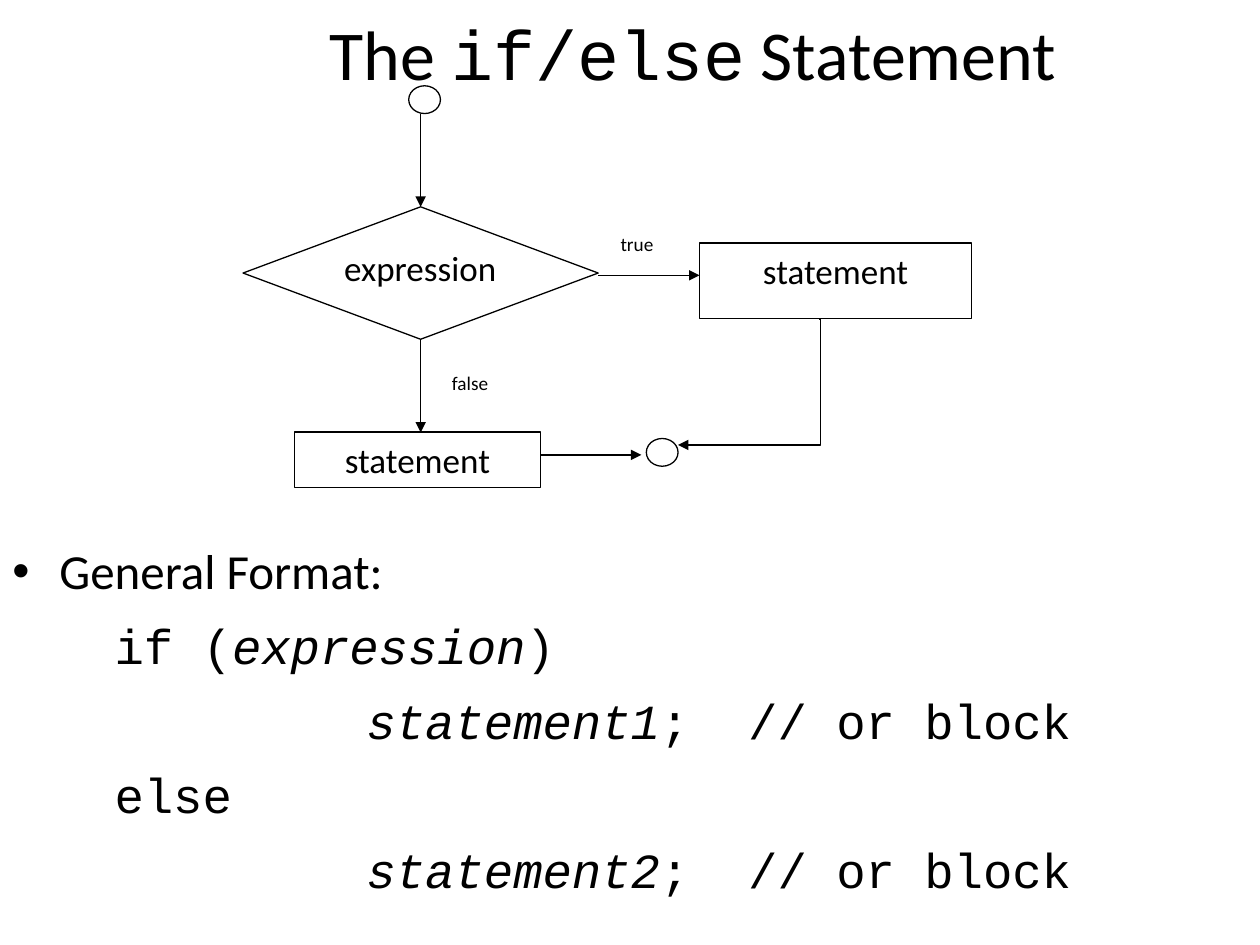
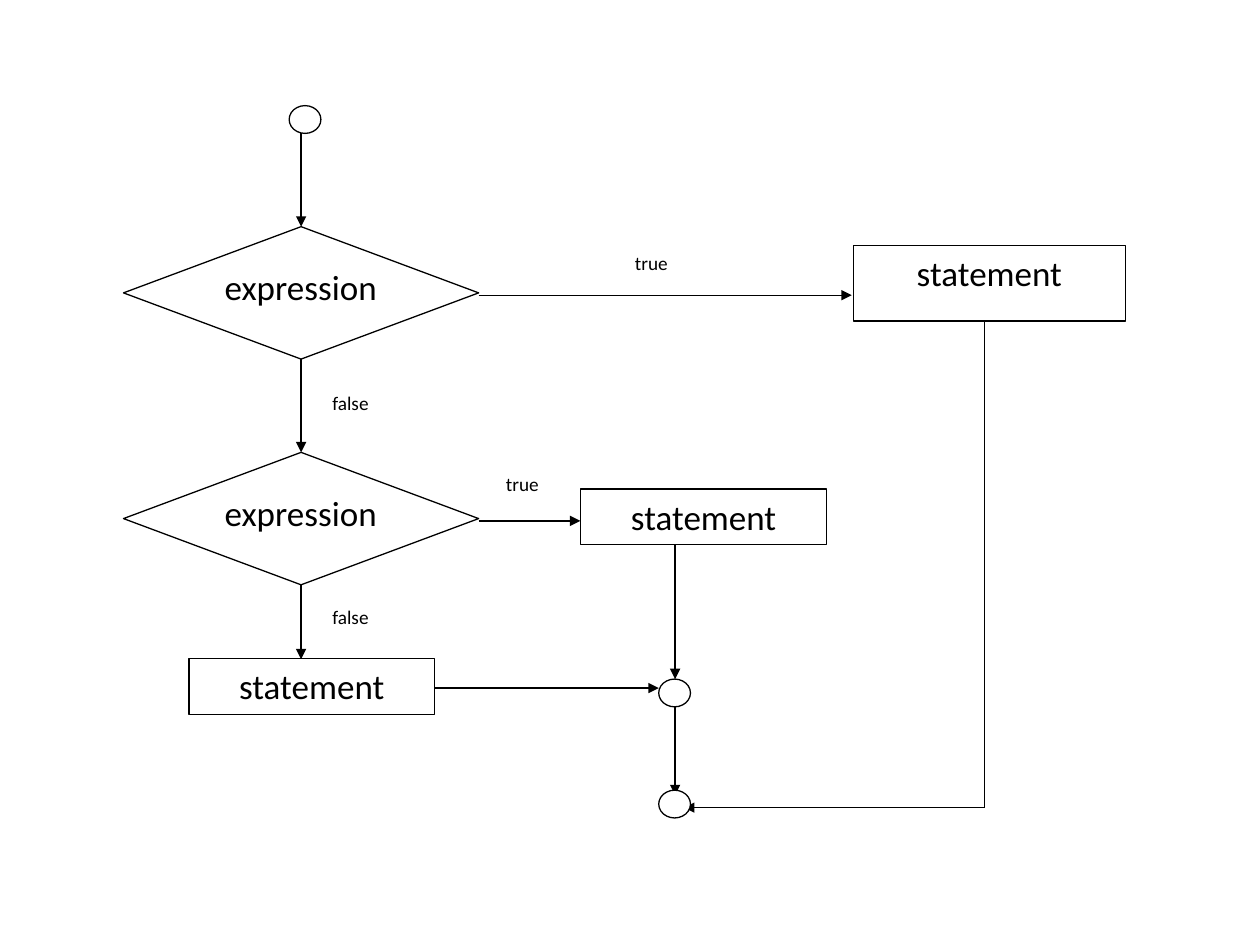
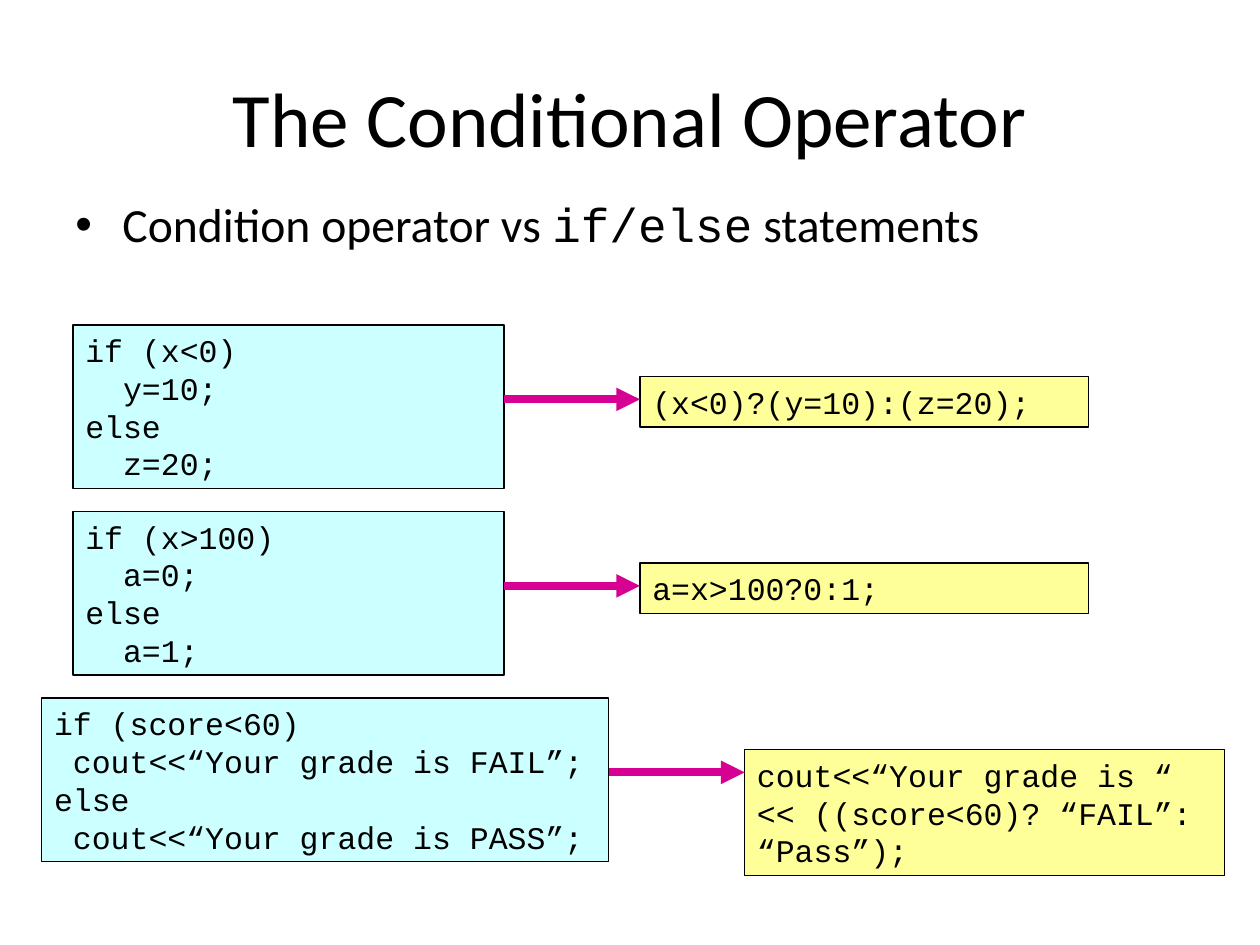
from lxml.etree import SubElement
from pptx import Presentation
from pptx.dml.color import RGBColor
from pptx.enum.shapes import MSO_CONNECTOR, MSO_SHAPE
from pptx.enum.text import MSO_ANCHOR, MSO_AUTO_SIZE, PP_ALIGN
from pptx.oxml.ns import qn
from pptx.util import Cm, Pt

BLACK = RGBColor(0x00, 0x00, 0x00)
WHITE = RGBColor(0xFF, 0xFF, 0xFF)
CYAN = RGBColor(0xCC, 0xFF, 0xFF)
YELLOW = RGBColor(0xFF, 0xFF, 0x99)
MAGENTA = RGBColor(0xD6, 0x00, 0x93)

BODY_FONT = "Calibri"
CODE_FONT = "Courier New"
TITLE_ONLY, BLANK = 5, 6

DIAMOND_WIDTH, DIAMOND_HEIGHT = 7.16, 2.67
DIAMOND_MIDDLE = 3.58
CIRCLE_WIDTH, CIRCLE_HEIGHT = 0.64, 0.56
ENTRY_HEIGHT = 2.44
LARGE_BOX = (5.49, 1.52)
SMALL_BOX = (4.95, 1.12)

CODE_HEIGHT, CODE_PITCH = 3.3, 3.76
RESULT_GAP, RESULT_DROP = 2.74, 1.04


def write(frame, *runs, size, font=BODY_FONT, align=PP_ALIGN.LEFT,
          indent=0, bullet=None, space_before=0):
    paragraph = frame.add_paragraph() if frame.text else frame.paragraphs[0]
    paragraph.alignment = align
    paragraph.space_before = Pt(space_before)
    if indent:
        properties = paragraph._p.get_or_add_pPr()
        properties.set("marL", str(Cm(indent)))
        if bullet:
            properties.set("indent", str(-Cm(indent)))
            SubElement(properties, qn("a:buFont")).set("typeface", "Arial")
            SubElement(properties, qn("a:buChar")).set("char", bullet)
    for item in runs:
        text, changes = (item, {}) if isinstance(item, str) else item
        run = paragraph.add_run()
        run.text = text
        run.font.name = changes.get("font", font)
        run.font.size = Pt(size)
        run.font.italic = changes.get("italic", False)
        run.font.color.rgb = BLACK


def add_title(slide, left, top, width, height, *runs, size):
    title = slide.shapes.title
    title.left, title.top, title.width, title.height = map(Cm, (left, top, width, height))
    title.text_frame.auto_size = MSO_AUTO_SIZE.NONE
    title.text_frame.vertical_anchor = MSO_ANCHOR.MIDDLE
    write(title.text_frame, *runs, size=size, align=PP_ALIGN.CENTER)


def add_text_box(slide, left, top, width, height):
    frame = slide.shapes.add_textbox(*map(Cm, (left, top, width, height))).text_frame
    frame.word_wrap = True
    return frame


def add_box(slide, kind, left, top, width, height, fill=WHITE):
    shape = slide.shapes.add_shape(kind, *map(Cm, (left, top, width, height)))
    shape.shadow.inherit = False
    shape.fill.solid()
    shape.fill.fore_color.rgb = fill
    shape.line.color.rgb = BLACK
    shape.line.width = Pt(0.75)
    shape.text_frame.word_wrap = True
    shape.text_frame.vertical_anchor = MSO_ANCHOR.TOP
    return shape.text_frame


def add_line(slide, start, end, color=BLACK, width=0.75, arrow=True, bend=None):
    kind = MSO_CONNECTOR.STRAIGHT if bend is None else MSO_CONNECTOR.ELBOW
    connector = slide.shapes.add_connector(kind, *map(Cm, start + end))
    connector.line.color.rgb = color
    connector.line.width = Pt(width)
    if arrow:
        SubElement(connector.line._get_or_add_ln(), qn("a:tailEnd")).set("type", "triangle")
    properties = connector._element.spPr
    SubElement(properties, qn("a:effectLst"))
    if bend is not None:
        geometry = properties.find(qn("a:prstGeom"))
        guide = SubElement(geometry.find(qn("a:avLst")), qn("a:gd"))
        guide.set("name", "adj1")
        guide.set("fmla", f"val {bend}")


def add_circle(slide, left, top):
    add_box(slide, MSO_SHAPE.FLOWCHART_CONNECTOR, left, top, CIRCLE_WIDTH, CIRCLE_HEIGHT)


def add_statement(slide, left, top, size):
    frame = add_box(slide, MSO_SHAPE.FLOWCHART_PROCESS, left, top, *size)
    write(frame, "statement", size=20, align=PP_ALIGN.CENTER)


def add_label(slide, text, left, top):
    write(add_text_box(slide, left, top, 1.4, 0.74), text, size=11)


def add_entry(slide, left, top):
    middle = left + DIAMOND_MIDDLE
    add_circle(slide, left + 3.34, top)
    add_line(slide, (middle, top + CIRCLE_HEIGHT), (middle, top + ENTRY_HEIGHT))


def add_decision(slide, left, top, true_length, false_length, true_label, false_drop):
    frame = add_box(slide, MSO_SHAPE.FLOWCHART_DECISION, left, top,
                    DIAMOND_WIDTH, DIAMOND_HEIGHT)
    write(frame, "expression", size=20)
    right, bottom = left + DIAMOND_WIDTH, top + DIAMOND_HEIGHT
    middle, true_level = left + DIAMOND_MIDDLE, top + 1.38
    add_line(slide, (right, true_level), (right + true_length, true_level))
    add_line(slide, (middle, bottom), (middle, bottom + false_length))
    add_label(slide, "true", right + true_label[0], top + true_label[1])
    add_label(slide, "false", left + 3.96, bottom + false_drop)


def add_if_else_flow(slide, left, top):
    add_entry(slide, left, top)
    add_decision(slide, left, top + ENTRY_HEIGHT, 2.04, 1.88, (0.2, 0.38), 0.53)
    add_statement(slide, left + 9.2, top + 3.17, LARGE_BOX)
    add_statement(slide, left + 1.04, top + 6.98, SMALL_BOX)
    add_circle(slide, left + 8.13, top + 7.11)
    add_line(slide, (left + 5.99, top + 7.44), (left + 8.03, top + 7.44))
    add_line(slide, (left + 11.61, top + 4.7), (left + 8.77, top + 7.24), bend=-1200)


def add_nested_flow(slide, left, top):
    add_entry(slide, left, top)
    add_decision(slide, left, top + ENTRY_HEIGHT, 7.52, 1.88, (2.9, 0.38), 0.53)
    add_decision(slide, left, top + 6.99, 2.05, 1.5, (0.3, 0.28), 0.28)
    add_statement(slide, left + 14.71, top + 2.82, LARGE_BOX)
    add_statement(slide, left + 9.22, top + 7.73, SMALL_BOX)
    add_statement(slide, left + 1.32, top + 11.15, SMALL_BOX)
    merge, corner, end_level = left + 11.12, left + 17.35, top + 14.15
    add_line(slide, (left + 6.27, top + 11.74), (left + 10.79, top + 11.74))
    add_line(slide, (merge, top + 8.84), (merge, top + 11.56))
    add_line(slide, (merge, top + 12.12), (merge, top + 13.9))
    add_line(slide, (corner, top + 4.37), (corner, end_level), arrow=False)
    add_line(slide, (corner, end_level), (left + 11.3, end_level))
    for circle_top in (11.56, 13.8):
        add_circle(slide, left + 10.79, top + circle_top)


def add_general_format(slide, left, top, width, height):
    frame = add_text_box(slide, left, top, width, height)
    write(frame, "General Format:", size=28, indent=0.95, bullet="•")
    italic = {"italic": True}
    code_lines = [
        (2.06, ["if (", ("expression", italic), ")"]),
        (7.14, [("statement1", italic), ";  // or block"]),
        (2.06, ["else"]),
        (7.14, [("statement2", italic), ";  // or block"]),
    ]
    for indent, runs in code_lines:
        write(frame, *runs, size=28, font=CODE_FONT, indent=indent, space_before=9)


def add_comparison(slide, left, top, code_width, result_size, code, result):
    right = left + code_width
    result_left = right + RESULT_GAP
    blocks = [
        (code, CYAN, (left, top, code_width, CODE_HEIGHT)),
        ([result], YELLOW, (result_left, top + RESULT_DROP, *result_size)),
    ]
    for lines, fill, place in blocks:
        frame = add_box(slide, MSO_SHAPE.RECTANGLE, *place, fill=fill)
        for line in lines:
            write(frame, line, size=18, font=CODE_FONT)
    add_line(slide, (right, top + 1.5), (result_left, top + 1.5), color=MAGENTA, width=4.5)


def build_if_else_slide(presentation):
    slide = presentation.slides.add_slide(presentation.slide_layouts[TITLE_ONLY])
    add_title(slide, 2.54, 0, 22.86, 2.13,
              "The ", ("if/else", {"font": CODE_FONT}), " Statement", size=40)
    add_general_format(slide, 0, 10.78, 22.86, 8)
    add_if_else_flow(slide, 4.9, 1.73)


def build_nested_slide(presentation):
    slide = presentation.slides.add_slide(presentation.slide_layouts[BLANK])
    add_nested_flow(slide, 2.49, 2.13)


def build_conditional_slide(presentation):
    slide = presentation.slides.add_slide(presentation.slide_layouts[TITLE_ONLY])
    add_title(slide, 1.27, 0.76, 22.86, 3.18, "The Conditional Operator", size=44)
    write(add_text_box(slide, 1.27, 3.81, 22.86, 1.47),
          "Condition operator vs ", ("if/else", {"font": CODE_FONT}), " statements",
          size=27.2, indent=0.95, bullet="•")
    comparisons = [
        (1.47, 8.69, (9.04, 1.02),
         ["if (x<0)", "  y=10;", "else", "  z=20;"],
         "(x<0)?(y=10):(z=20);"),
        (1.47, 8.69, (9.04, 1.02),
         ["if (x>100)", "  a=0;", "else", "  a=1;"],
         "a=x>100?0:1;"),
        (0.84, 11.43, (9.68, 2.54),
         ["if (score<60)", " cout<<“Your grade is FAIL”;",
          "else", " cout<<“Your grade is PASS”;"],
         "cout<<“Your grade is “ << ((score<60)? “FAIL”: “Pass”);"),
    ]
    for row, (left, *details) in enumerate(comparisons):
        add_comparison(slide, left, 6.55 + row * CODE_PITCH, *details)


def main():
    presentation = Presentation()
    presentation.slide_width = Cm(25.4)
    presentation.slide_height = Cm(19.05)
    build_if_else_slide(presentation)
    build_nested_slide(presentation)
    build_conditional_slide(presentation)
    presentation.save("out.pptx")


if __name__ == "__main__":
    main()
